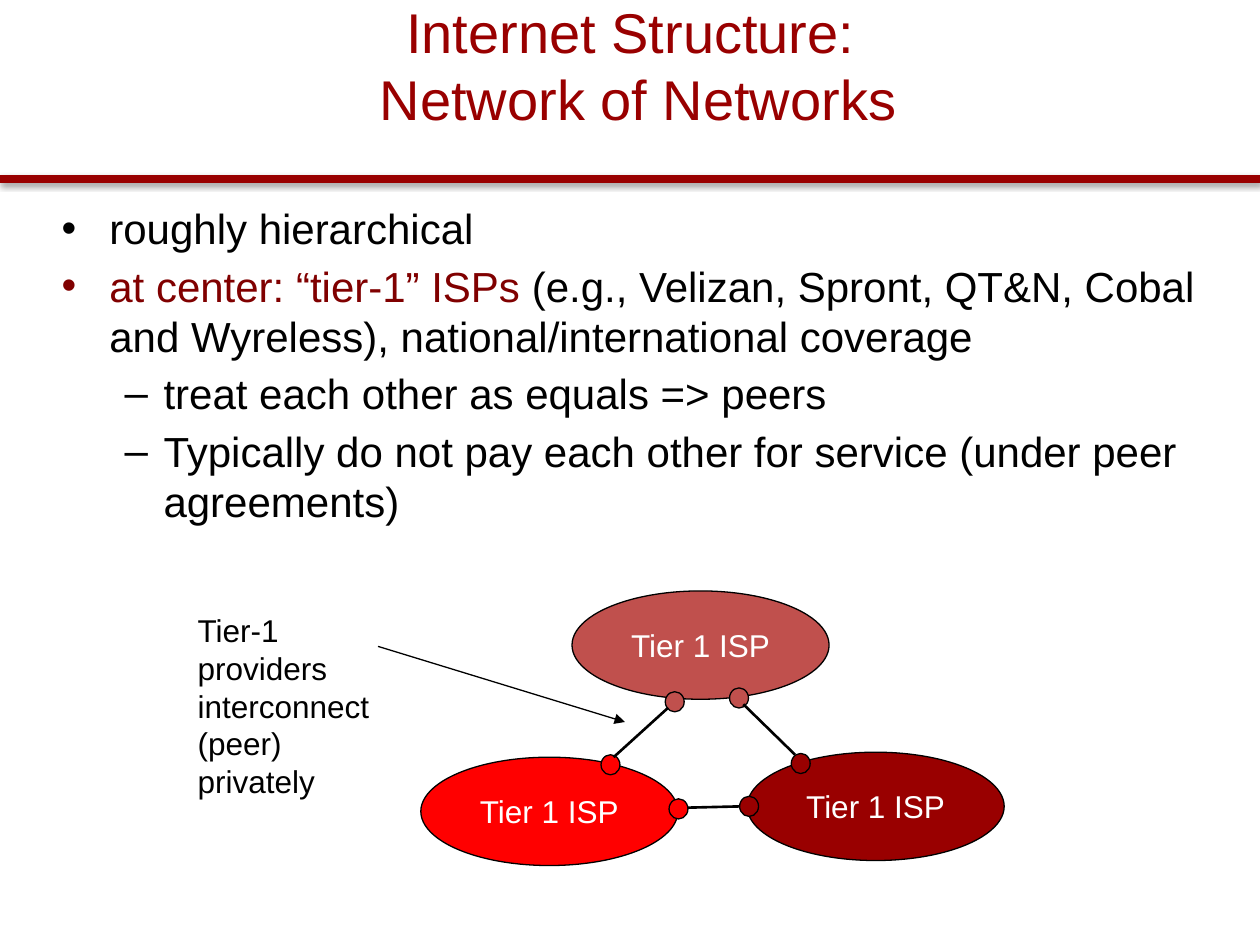
from lxml.etree import SubElement as Sub
from pptx import Presentation as Deck
from pptx.dml.color import RGBColor as RGB
from pptx.enum.shapes import MSO_CONNECTOR as Conn, MSO_SHAPE as Kind
from pptx.enum.text import MSO_ANCHOR as Anchor, MSO_AUTO_SIZE as Auto, PP_ALIGN as Align
from pptx.oxml.ns import qn
from pptx.util import Inches, Pt

HUES = {"black": "000000", "white": "FFFFFF", "dark": "990000",
        "maroon": "800000", "red": "FF0000", "rose": "C0504D"}


class Slide:
    font = "Arial"

    def __init__(self, deck):
        self.page = deck.slides.add_slide(deck.slide_layouts[5])
        self.shapes = self.page.shapes

    def hue(self, name):
        return RGB.from_string(HUES[name])

    def style(self, para, size, hue):
        for run in para.runs:
            run.font.name = self.font
            run.font.size = Pt(size)
            run.font.color.rgb = self.hue(hue)

    def title(self, text, left, top, width, height):
        box = self.shapes.title
        box.left, box.top = Inches(left), Inches(top)
        box.width, box.height = Inches(width), Inches(height)
        frame = box.text_frame
        frame.text = text
        frame.auto_size = Auto.NONE
        frame.vertical_anchor = Anchor.MIDDLE
        frame.paragraphs[0].alignment = Align.CENTER
        self.style(frame.paragraphs[0], 32, "dark")

    def text(self, text, left, top, width, height, size):
        box = self.shapes.add_textbox(Inches(left), Inches(top), Inches(width), Inches(height))
        frame = box.text_frame
        frame.word_wrap = True
        frame.text = text
        for para in frame.paragraphs:
            self.style(para, size, "black")
        return frame

    def bullet(self, para, level):
        mark, left, hang = (("•", 0.38, 0.38), ("–", 0.81, 0.31))[level]
        para.level = level
        para.space_before = Pt(4)
        props = para._p.get_or_add_pPr()
        props.set("marL", str(Inches(left)))
        props.set("indent", str(-Inches(hang)))
        Sub(props, qn("a:buFont"), typeface=self.font)
        Sub(props, qn("a:buChar"), char=mark)

    def oval(self, left, top, width, height, hue, text=""):
        oval = self.shapes.add_shape(Kind.OVAL, Inches(left), Inches(top),
                                     Inches(width), Inches(height))
        oval.shadow.inherit = False
        oval.fill.solid()
        oval.fill.fore_color.rgb = self.hue(hue)
        oval.line.color.rgb = self.hue("black")
        oval.line.width = Pt(0.75)
        if text:
            frame = oval.text_frame
            frame.text = text
            frame.word_wrap = False
            frame.vertical_anchor = Anchor.MIDDLE
            frame.paragraphs[0].alignment = Align.CENTER
            self.style(frame.paragraphs[0], 18, "white")

    def line(self, start, end, width, hue="black", arrow=False, shade=False):
        link = self.shapes.add_connector(Conn.STRAIGHT, *map(Inches, start + end))
        link.line.color.rgb = self.hue(hue)
        link.line.width = Pt(width)
        if arrow:
            Sub(link.line._get_or_add_ln(), qn("a:tailEnd"), type="triangle")
        fx = Sub(link._element.spPr, qn("a:effectLst"))
        if shade:
            drop = Sub(fx, qn("a:outerShdw"), blurRad=str(Pt(3.1)), dist=str(Pt(1.6)),
                       dir="5400000", algn="ctr", rotWithShape="0")
            tint = Sub(drop, qn("a:srgbClr"), val=HUES["black"])
            Sub(tint, qn("a:alpha"), val="38000")


def main():
    deck = Deck()
    deck.slide_width, deck.slide_height = Inches(10), Inches(7.5)
    slide = Slide(deck)
    slide.line((0, 1.42), (10, 1.42), 5, "dark", shade=True)
    slide.title("Internet Structure:\v Network of Networks", 0.58, -0.11, 8.85, 1.25)

    lead = "at center: “tier-1” ISPs "
    points = [
        (0, "roughly hierarchical"),
        (0, lead),
        (1, "treat each other as equals => peers"),
        (1, "Typically do not pay each other for service (under peer agreements)"),
    ]
    body = slide.text("\n".join(text for _, text in points), 0.39, 1.56, 9.23, 5.08, 24)
    for para, (level, _) in zip(body.paragraphs, points):
        slide.bullet(para, level)
    tier = body.paragraphs[1]
    tier.add_run().text = ("(e.g., Velizan, Spront, QT&N, Cobal and Wyreless), "
                           "national/international coverage")
    slide.style(tier, 24, "black")
    tier.runs[0].font.color.rgb = slide.hue("maroon")

    for left, top, hue in ((3.34, 6.01, "red"), (4.54, 4.69, "rose"), (5.93, 5.97, "dark")):
        slide.oval(left, top, 2.04, 0.86, hue, "Tier 1 ISP")

    ports = ((6.28, 5.98, "dark"), (5.79, 5.46, "rose"), (5.28, 5.49, "rose"),
             (4.77, 5.99, "red"), (5.31, 6.34, "red"), (5.87, 6.32, "dark"))
    for left, top, hue in ports:
        slide.oval(left, top, 0.15, 0.16, hue)

    links = (((5.46, 6.41), (5.87, 6.4)), ((5.9, 5.59), (6.31, 5.99)),
             ((4.87, 6.01), (5.3, 5.62)))
    for start, end in links:
        slide.line(start, end, 1.5)

    slide.text("Tier-1 providers interconnect (peer) privately", 1.47, 4.8, 1.71, 1.6, 18)
    slide.line((3, 5.13), (4.96, 5.73), 0.75, arrow=True)
    deck.save("out.pptx")


if __name__ == "__main__":
    main()
